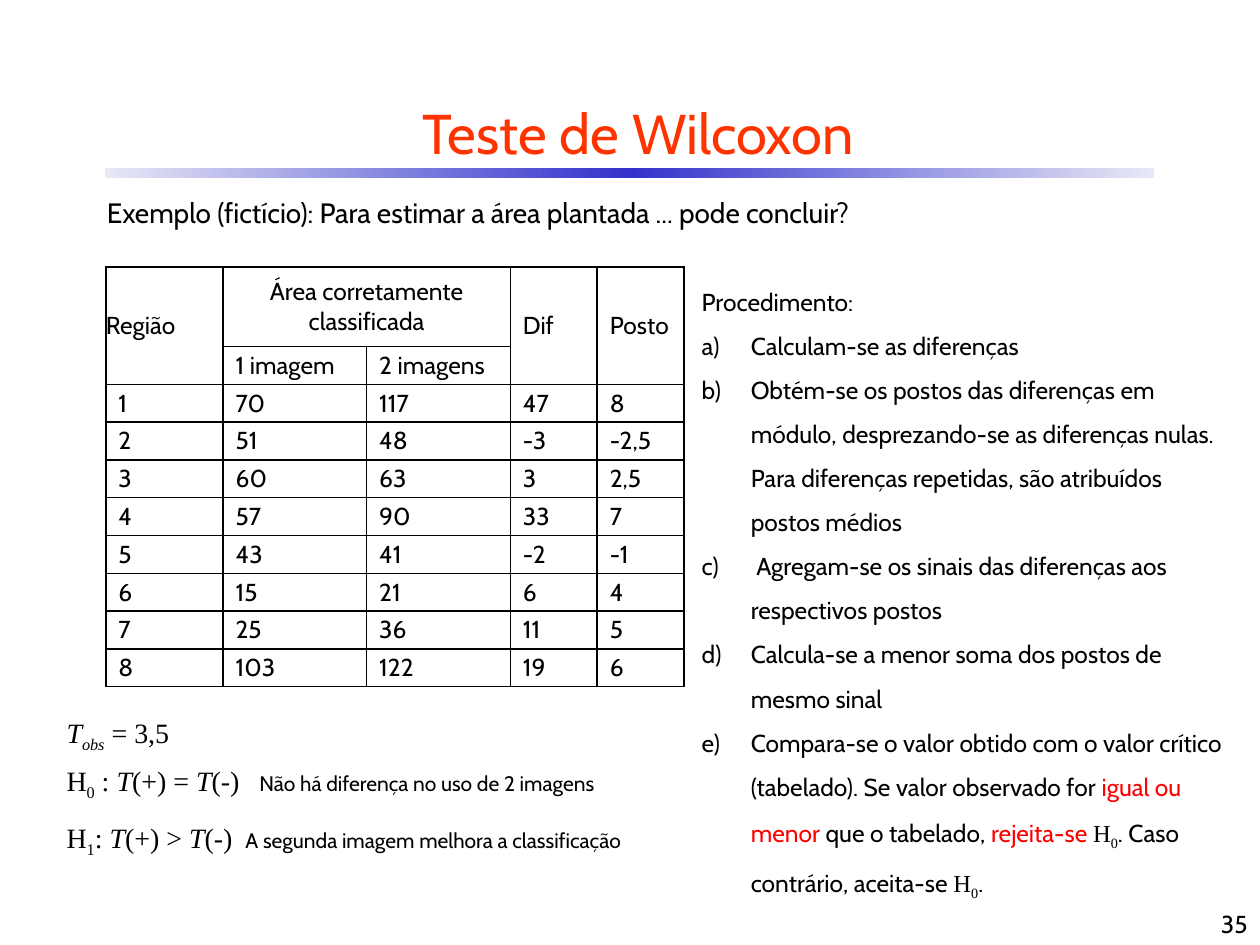
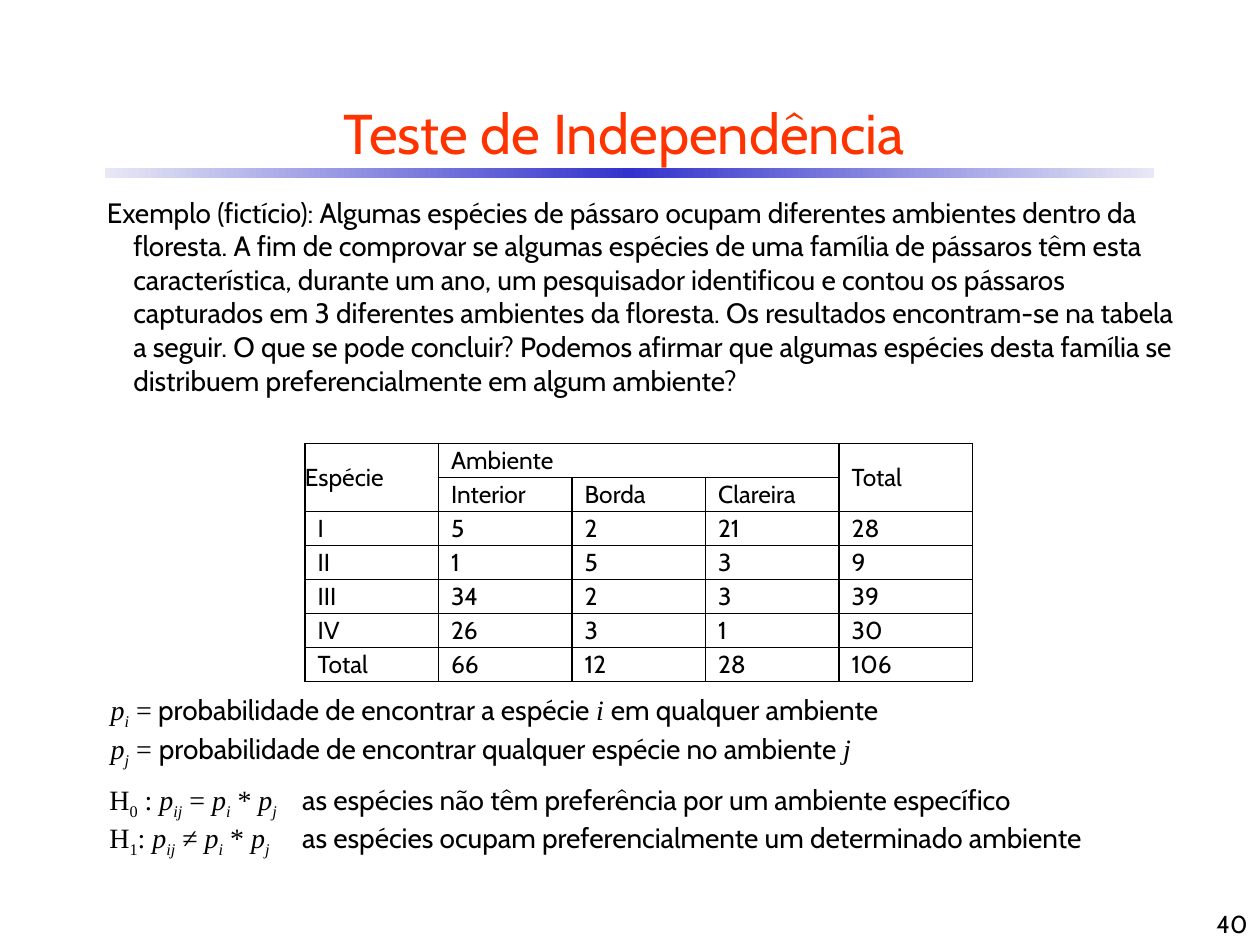
from copy import deepcopy

from lxml.etree import SubElement
from pptx import Presentation
from pptx.dml.color import RGBColor
from pptx.enum.shapes import MSO_SHAPE
from pptx.enum.text import MSO_ANCHOR, PP_ALIGN
from pptx.oxml.ns import qn
from pptx.util import Inches, Pt

COLORS = {
    "title": "FF3300",
    "text": "000000",
    "red": "FF0000",
    "white": "FFFFFF",
    "band_edge": "E8E8F6",
    "band_center": "3333CC",
}
BODY_FONT = "Cabin"
MATH_FONT = "Times New Roman"
RUN_STYLES = {
    "body": {},
    "small": {"size": 12},
    "red": {"color": "red"},
    "title": {"color": "title"},
    "math": {"font": MATH_FONT},
    "sub": {"font": MATH_FONT, "subscript": True},
    "var": {"font": MATH_FONT, "italic": True},
    "varsub": {"font": MATH_FONT, "italic": True, "subscript": True},
}


def rgb(name):
    return RGBColor.from_string(COLORS[name])


class Deck:
    def __init__(self):
        self.presentation = Presentation()
        self.presentation.slide_width = Inches(10)
        self.presentation.slide_height = Inches(7.5)
        self.slide = None

    def add_slide(self, title, title_width, number):
        self.slide = self.presentation.slides.add_slide(self.presentation.slide_layouts[6])
        self.add_band()
        self.add_text(0.33, 0.67, title_width, 0.75, [[(title, "title")]], size=32,
                      align=PP_ALIGN.CENTER, anchor=MSO_ANCHOR.MIDDLE)
        self.add_text(7.92, 7, 2.08, 0.5, [number], size=14,
                      align=PP_ALIGN.RIGHT, anchor=MSO_ANCHOR.BOTTOM)

    def add_band(self):
        band = self.slide.shapes.add_shape(
            MSO_SHAPE.RECTANGLE, Inches(0.83), Inches(1.33), Inches(8.33), Inches(0.08))
        band.shadow.inherit = False
        band.line.fill.background()
        band.fill.gradient()
        band.fill.gradient_angle = 0
        stop_list = band._element.spPr.find(".//" + qn("a:gsLst"))
        stop_list.append(deepcopy(stop_list[0]))
        colors = ("band_edge", "band_center", "band_edge")
        for index, (stop, color) in enumerate(zip(band.fill.gradient_stops, colors)):
            stop.position = index / 2
            stop.color.rgb = rgb(color)

    def format_run(self, run, size, style="body"):
        settings = RUN_STYLES[style]
        run.font.name = settings.get("font", BODY_FONT)
        run.font.size = Pt(settings.get("size", size))
        run.font.italic = settings.get("italic", False)
        run.font.color.rgb = rgb(settings.get("color", "text"))
        if settings.get("subscript"):
            run._r.get_or_add_rPr().set("baseline", "-25000")

    def add_text(self, left, top, width, height, paragraphs, size=16, hanging=0, spacing=None,
                 letters=(), tabs=(), align=PP_ALIGN.LEFT, anchor=MSO_ANCHOR.TOP, fill=None):
        box = self.slide.shapes.add_textbox(
            Inches(left), Inches(top), Inches(width), Inches(height))
        if fill:
            box.fill.solid()
            box.fill.fore_color.rgb = rgb(fill)
        frame = box.text_frame
        frame.word_wrap = True
        frame.vertical_anchor = anchor
        for index, content in enumerate(paragraphs):
            paragraph = frame.add_paragraph() if index else frame.paragraphs[0]
            paragraph.alignment = align
            if spacing:
                paragraph.line_spacing = spacing
            properties = paragraph._p.get_or_add_pPr()
            if hanging:
                properties.set("marL", str(Inches(hanging)))
                properties.set("indent", str(-Inches(hanging)))
            if index < len(letters) and letters[index]:
                SubElement(properties, qn("a:buAutoNum"), type="alphaLcParenR",
                           startAt=str(letters[index]))
            if tabs:
                tab_list = SubElement(properties, qn("a:tabLst"))
                SubElement(tab_list, qn("a:tab"), pos=str(Inches(tabs[index])), algn="l")
            runs = [(content, "body")] if isinstance(content, str) else content
            for text, style in runs:
                run = paragraph.add_run()
                run.text = text
                self.format_run(run, size, style)

    def add_borders(self, cell):
        properties = cell._tc.get_or_add_tcPr()
        for index, side in enumerate(("a:lnL", "a:lnR", "a:lnT", "a:lnB")):
            line = SubElement(properties, qn(side), w=str(Pt(1)))
            fill = SubElement(line, qn("a:solidFill"))
            SubElement(fill, qn("a:srgbClr"), val=COLORS["text"])
            properties.insert(index, line)

    def add_table(self, left, top, widths, heights, rows, merges, centered=()):
        table = self.slide.shapes.add_table(
            len(rows), len(widths), Inches(left), Inches(top),
            Inches(sum(widths)), Inches(sum(heights))).table
        table.first_row = False
        table.horz_banding = False
        for column, width in zip(table.columns, widths):
            column.width = Inches(width)
        for row, height in zip(table.rows, heights):
            row.height = Inches(height)
        for row_index, values in enumerate(rows):
            for column_index, value in enumerate(values):
                cell = table.cell(row_index, column_index)
                side_margin = Inches(0.1 if row_index or column_index else 0)
                cell.margin_left = cell.margin_right = side_margin
                cell.margin_top = cell.margin_bottom = 0
                cell.vertical_anchor = MSO_ANCHOR.MIDDLE
                cell.fill.solid()
                cell.fill.fore_color.rgb = rgb("white")
                self.add_borders(cell)
                paragraph = cell.text_frame.paragraphs[0]
                paragraph.text = value
                if (row_index, column_index) in centered:
                    paragraph.alignment = PP_ALIGN.CENTER
                for run in paragraph.runs:
                    self.format_run(run, 14)
        for first, last in merges:
            table.cell(*first).merge(table.cell(*last))


def build_wilcoxon(deck):
    deck.add_slide("Teste de Wilcoxon", 9.47, "35")
    deck.add_text(0.75, 1.5, 8.7, 0.37, [
        "Exemplo (fictício): Para estimar a área plantada ... pode concluir?"], hanging=0.21)
    rows = [
        ("Região", "Área corretamente classificada", "", "Dif", "Posto"),
        ("", "1 imagem", "2 imagens", "", ""),
        ("1", "70", "117", "47", "8"),
        ("2", "51", "48", "-3", "-2,5"),
        ("3", "60", "63", "3", "2,5"),
        ("4", "57", "90", "33", "7"),
        ("5", "43", "41", "-2", "-1"),
        ("6", "15", "21", "6", "4"),
        ("7", "25", "36", "11", "5"),
        ("8", "103", "122", "19", "6"),
    ]
    deck.add_table(0.84, 2.12, [0.93, 1.14, 1.14, 0.69, 0.69], [0.63] + [0.3] * 9, rows,
                   merges=[((0, 0), (1, 0)), ((0, 1), (0, 2)),
                           ((0, 3), (1, 3)), ((0, 4), (1, 4))],
                   centered=[(0, 1)])
    deck.add_text(5.47, 2.11, 4.38, 3.64, [
        "Procedimento:",
        "Calculam-se as diferenças",
        "Obtém-se os postos das diferenças em módulo, desprezando-se as diferenças nulas. "
        "Para diferenças repetidas, são atribuídos postos médios",
        " Agregam-se os sinais das diferenças aos respectivos postos",
        "Calcula-se a menor soma dos postos de mesmo sinal",
    ], size=14, hanging=0.39, spacing=1.5, letters=[None, 1, 1, 1, 1])
    deck.add_text(0.43, 5.48, 4.38, 0.46, [
        [("T", "var"), ("obs", "varsub"), (" = 3,5", "math")]], hanging=0.39, spacing=1.5)
    hypotheses = [
        ("0", " : ", "(+) = ", "Não há diferença no uso de 2 imagens"),
        ("1", ": ", "(+) > ", "A segunda imagem melhora a classificação"),
    ]
    deck.add_text(0.43, 5.86, 4.93, 0.86, [
        [("H", "math"), (index, "sub"), (colon, "math"), ("T", "var"), (relation, "math"),
         ("T", "var"), ("(-)\t", "math"), (meaning, "small")]
        for index, colon, relation, meaning in hypotheses
    ], spacing=1.5, tabs=[1.53, 1.42])
    null_hypothesis = [("H", "math"), ("0", "sub")]
    deck.add_text(5.47, 5.61, 4.38, 1.52, [[
        ("Compara-se o valor obtido com o valor crítico (tabelado). "
         "Se valor observado for ", "body"),
        ("igual ou menor", "red"), (" que o tabelado, ", "body"), ("rejeita-se ", "red"),
        *null_hypothesis, (". Caso contrário, aceita-se ", "body"),
        *null_hypothesis, (".", "body"),
    ]], size=14, hanging=0.39, spacing=1.5, letters=[5])


def build_independence(deck):
    deck.add_slide("Teste de Independência", 9.25, "40")
    deck.add_text(0.75, 1.5, 8.7, 1.99, [
        "Exemplo (fictício): Algumas espécies de pássaro ocupam diferentes ambientes dentro da "
        "floresta. A fim de comprovar se algumas espécies de uma família de pássaros têm esta "
        "característica, durante um ano, um pesquisador identificou e contou os pássaros "
        "capturados em 3 diferentes ambientes da floresta. Os resultados encontram-se na tabela "
        "a seguir. O que se pode concluir? Podemos afirmar que algumas espécies desta família "
        "se distribuem preferencialmente em algum ambiente?"], hanging=0.21)
    rows = [
        ("Espécie", "Ambiente", "", "", "Total"),
        ("", "Interior", "Borda", "Clareira", ""),
        ("I", "5", "2", "21", "28"),
        ("II", "1", "5", "3", "9"),
        ("III", "34", "2", "3", "39"),
        ("IV", "26", "3", "1", "30"),
        ("Total", "66", "12", "28", "106"),
    ]
    deck.add_table(2.42, 3.52, [1.06] * 5, [0.27] * 7, rows,
                   merges=[((0, 0), (1, 0)), ((0, 1), (0, 3)), ((0, 4), (1, 4))])
    deck.add_text(0.78, 5.45, 8.42, 0.64, [
        [("p", "var"), ("i", "varsub"), (" =", "math"),
         (" probabilidade de encontrar a espécie ", "body"), ("i ", "var"),
         ("em qualquer ambiente", "body")],
        [("p", "var"), ("j", "varsub"), (" = ", "math"),
         ("probabilidade de encontrar qualquer espécie no ambiente ", "body"), ("j", "var")],
    ], hanging=0.21)
    hypotheses = [
        ("0", " : ", " = ", "as espécies não têm preferência por um ambiente específico"),
        ("1", ": ", " ≠ ", "as espécies ocupam preferencialmente um determinado ambiente"),
    ]
    deck.add_text(0.77, 6.16, 8.76, 0.64, [
        [("H", "math"), (index, "sub"), (colon, "math"), ("p", "var"), ("ij", "varsub"),
         (relation, "math"), ("p", "var"), ("i", "varsub"), (" * ", "math"),
         ("p", "var"), ("j", "varsub"), ("\t" + meaning, "body")]
        for index, colon, relation, meaning in hypotheses
    ], tabs=[1.53, 1.53], fill="white")


def main():
    deck = Deck()
    build_wilcoxon(deck)
    build_independence(deck)
    deck.presentation.save("out.pptx")


if __name__ == "__main__":
    main()
